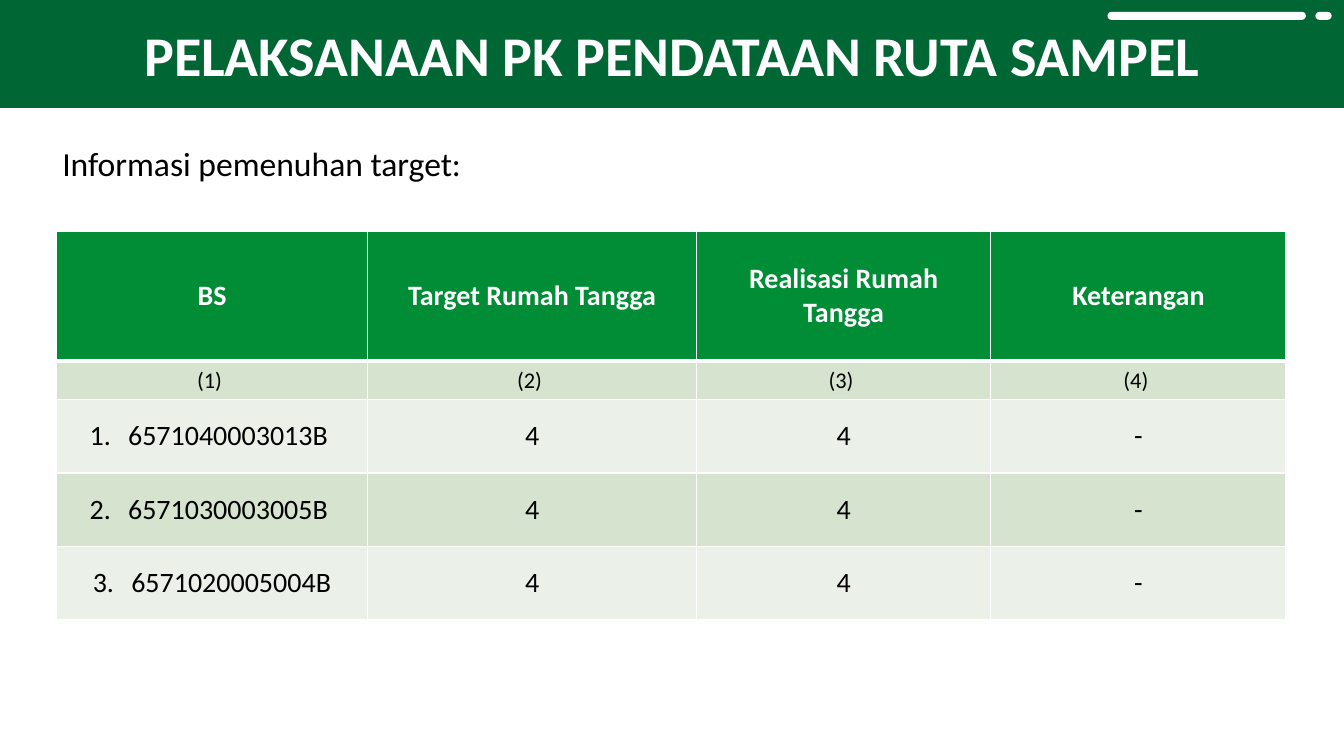
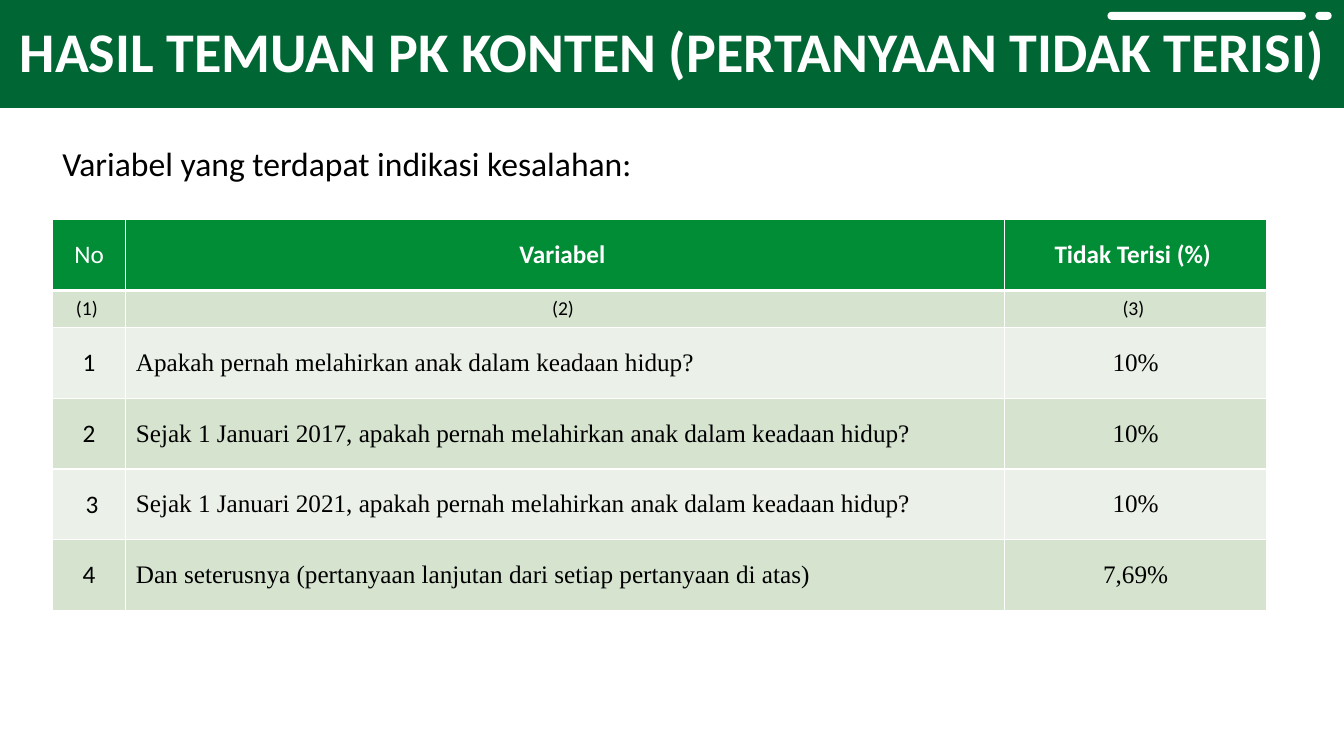
from dataclasses import dataclass

from lxml import etree
from pptx import Presentation
from pptx.dml.color import RGBColor
from pptx.enum.shapes import MSO_SHAPE
from pptx.enum.text import MSO_ANCHOR, PP_ALIGN
from pptx.oxml.ns import qn
from pptx.slide import Slide
from pptx.table import _Cell
from pptx.text.text import TextFrame, _Paragraph
from pptx.util import Cm, Length, Pt

RECT, ROUNDED = MSO_SHAPE.RECTANGLE, MSO_SHAPE.ROUNDED_RECTANGLE
LEFT, CENTER = PP_ALIGN.LEFT, PP_ALIGN.CENTER
TOP, MIDDLE = MSO_ANCHOR.TOP, MSO_ANCHOR.MIDDLE


@dataclass(frozen=True)
class Theme:
    band: RGBColor = RGBColor(0x00, 0x66, 0x33)
    header: RGBColor = RGBColor(0x00, 0x8D, 0x36)
    odd_row: RGBColor = RGBColor(0xD5, 0xE3, 0xCF)
    even_row: RGBColor = RGBColor(0xEB, 0xF1, 0xE9)
    white: RGBColor = RGBColor(0xFF, 0xFF, 0xFF)
    ink: RGBColor = RGBColor(0x00, 0x00, 0x00)
    sans: str = "Calibri"
    serif: str = "Times New Roman"
    title_size: int = 40
    intro_size: int = 24
    rule: int = 1
    header_rule: int = 3


THEME = Theme()
WIDTH, HEIGHT = Cm(33.87), Cm(19.05)


@dataclass(frozen=True)
class Box:
    left: Length
    top: Length
    width: Length
    height: Length


@dataclass(frozen=True)
class Column:
    heading: str
    width: Length
    index: str
    font: str = THEME.sans
    align: PP_ALIGN = CENTER
    bold_heading: bool = True
    numbered: bool = False


@dataclass(frozen=True)
class TableSpec:
    left: Length
    top: Length
    header_height: Length
    index_height: Length
    row_height: Length
    text_size: int
    index_size: int
    columns: list[Column]
    rows: list[list[str]]


@dataclass(frozen=True)
class Page:
    title: str
    intro: str
    table: TableSpec
    title_spacing: float = 1.0


BAND = Box(Cm(0), Cm(0), WIDTH, Cm(2.72))
DASHES = [
    Box(Cm(27.91), Cm(0.3), Cm(5), Cm(0.2)),
    Box(Cm(33.15), Cm(0.3), Cm(0.41), Cm(0.2)),
]
TITLE = Box(Cm(0), Cm(0.08), WIDTH, Cm(2.59))
INTRO = Box(Cm(1.32), Cm(3.48), Cm(30.15), Cm(1.27))
NUMBER_INDENT = Cm(0.97)

PAGES = [
    Page(
        "PELAKSANAAN PK PENDATAAN RUTA SAMPEL",
        "Informasi pemenuhan target:",
        TableSpec(
            Cm(1.42), Cm(5.82), Cm(3.28), Cm(0.97), Cm(1.85), 20, 16,
            [
                Column("BS", Cm(7.85), "(1) ", numbered=True),
                Column("Target Rumah Tangga", Cm(8.28), "(2) "),
                Column("Realisasi Rumah Tangga", Cm(7.42), "(3) "),
                Column("Keterangan", Cm(7.44), "(4) "),
            ],
            [
                ["6571040003013B ", "4", "4", "-"],
                ["6571030003005B ", "4", "4", "-"],
                ["6571020005004B", "4", "4", "-"],
            ],
        ),
    ),
    Page(
        "HASIL TEMUAN PK KONTEN (PERTANYAAN TIDAK TERISI)",
        "Variabel yang terdapat indikasi kesalahan:",
        TableSpec(
            Cm(1.32), Cm(5.54), Cm(1.78), Cm(0.94), Cm(1.78), 18, 14,
            [
                Column("No", Cm(1.85), "(1) ", bold_heading=False),
                Column("Variabel ", Cm(22.15), "(2) ", THEME.serif, LEFT),
                Column("Tidak Terisi (%) ", Cm(6.6), "(3) ", THEME.serif),
            ],
            [
                ["1", "Apakah pernah melahirkan anak dalam keadaan hidup?", "10%"],
                ["2", "Sejak 1 Januari 2017, apakah pernah melahirkan anak dalam keadaan hidup?", "10%"],
                [" 3", "Sejak 1 Januari 2021, apakah pernah melahirkan anak dalam keadaan hidup?", "10%"],
                ["4", "Dan seterusnya (pertanyaan lanjutan dari setiap pertanyaan di atas)", "7,69%"],
            ],
        ),
        title_spacing=0.9,
    ),
]


def write(frame: TextFrame, text: str, size: int, color: RGBColor,
          align: PP_ALIGN = LEFT, bold: bool = False,
          font: str = THEME.sans) -> _Paragraph:
    paragraph = frame.paragraphs[0]
    paragraph.text = text
    paragraph.alignment = align
    paragraph.font.name = font
    paragraph.font.size = Pt(size)
    paragraph.font.bold = bold
    paragraph.font.color.rgb = color
    return paragraph


def add_block(slide: Slide, kind: MSO_SHAPE, box: Box, color: RGBColor) -> None:
    block = slide.shapes.add_shape(kind, box.left, box.top, box.width, box.height)
    block.shadow.inherit = False
    block.fill.solid()
    block.fill.fore_color.rgb = color
    block.line.fill.background()
    if kind == ROUNDED:
        block.adjustments[0] = 0.5


def add_text_frame(slide: Slide, box: Box, anchor: MSO_ANCHOR) -> TextFrame:
    frame = slide.shapes.add_textbox(box.left, box.top, box.width, box.height).text_frame
    frame.word_wrap = True
    frame.vertical_anchor = anchor
    return frame


def number(paragraph: _Paragraph, start: int) -> None:
    properties = paragraph._p.get_or_add_pPr()
    properties.set("marL", str(NUMBER_INDENT))
    properties.set("indent", str(-NUMBER_INDENT))
    bullet = etree.Element(qn("a:buAutoNum"), type="arabicPeriod", startAt=str(start))
    properties.find(qn("a:defRPr")).addprevious(bullet)


def style_cell(cell: _Cell, fill: RGBColor, top_rule: int, bottom_rule: int) -> None:
    # Borders come before the fill in the cell properties
    properties = cell._tc.get_or_add_tcPr()
    rules = {"lnL": THEME.rule, "lnR": THEME.rule, "lnT": top_rule, "lnB": bottom_rule}
    for side, points in rules.items():
        line = etree.SubElement(properties, qn(f"a:{side}"), w=str(Pt(points)))
        paint = etree.SubElement(line, qn("a:solidFill"))
        etree.SubElement(paint, qn("a:srgbClr"), val=str(THEME.white))
    cell.fill.solid()
    cell.fill.fore_color.rgb = fill
    cell.vertical_anchor = MIDDLE


def add_data_table(slide: Slide, spec: TableSpec) -> None:
    heights = [spec.header_height, spec.index_height] + [spec.row_height] * len(spec.rows)
    table = slide.shapes.add_table(
        len(heights), len(spec.columns), spec.left, spec.top,
        Length(sum(column.width for column in spec.columns)), Length(sum(heights)),
    ).table
    table.first_row = table.horz_banding = False
    for row, height in zip(table.rows, heights):
        row.height = height

    for c, column in enumerate(spec.columns):
        table.columns[c].width = column.width
        # Heading, column index, then the data rows
        heading, index, *data = [table.cell(r, c) for r in range(len(heights))]
        style_cell(heading, THEME.header, THEME.rule, THEME.header_rule)
        write(heading.text_frame, column.heading, spec.text_size, THEME.white,
              CENTER, column.bold_heading)
        style_cell(index, THEME.odd_row, THEME.header_rule, THEME.rule)
        write(index.text_frame, column.index, spec.index_size, THEME.ink, CENTER)
        for position, (cell, values) in enumerate(zip(data, spec.rows), start=1):
            fill = THEME.even_row if position % 2 else THEME.odd_row
            style_cell(cell, fill, THEME.rule, THEME.rule)
            paragraph = write(cell.text_frame, values[c], spec.text_size, THEME.ink,
                              column.align, font=column.font)
            if column.numbered:
                number(paragraph, position)


def add_page(slide: Slide, page: Page) -> None:
    # Title band with its dashes
    add_block(slide, RECT, BAND, THEME.band)
    for dash in DASHES:
        add_block(slide, ROUNDED, dash, THEME.white)
    title = write(add_text_frame(slide, TITLE, MIDDLE), page.title,
                  THEME.title_size, THEME.white, CENTER, bold=True)
    title.line_spacing = page.title_spacing
    # Content
    write(add_text_frame(slide, INTRO, TOP), page.intro, THEME.intro_size, THEME.ink)
    add_data_table(slide, page.table)


def main() -> None:
    deck = Presentation()
    deck.slide_width, deck.slide_height = WIDTH, HEIGHT
    blank = deck.slide_layouts[6]
    for page in PAGES:
        add_page(deck.slides.add_slide(blank), page)
    deck.save("out.pptx")


if __name__ == "__main__":
    main()
